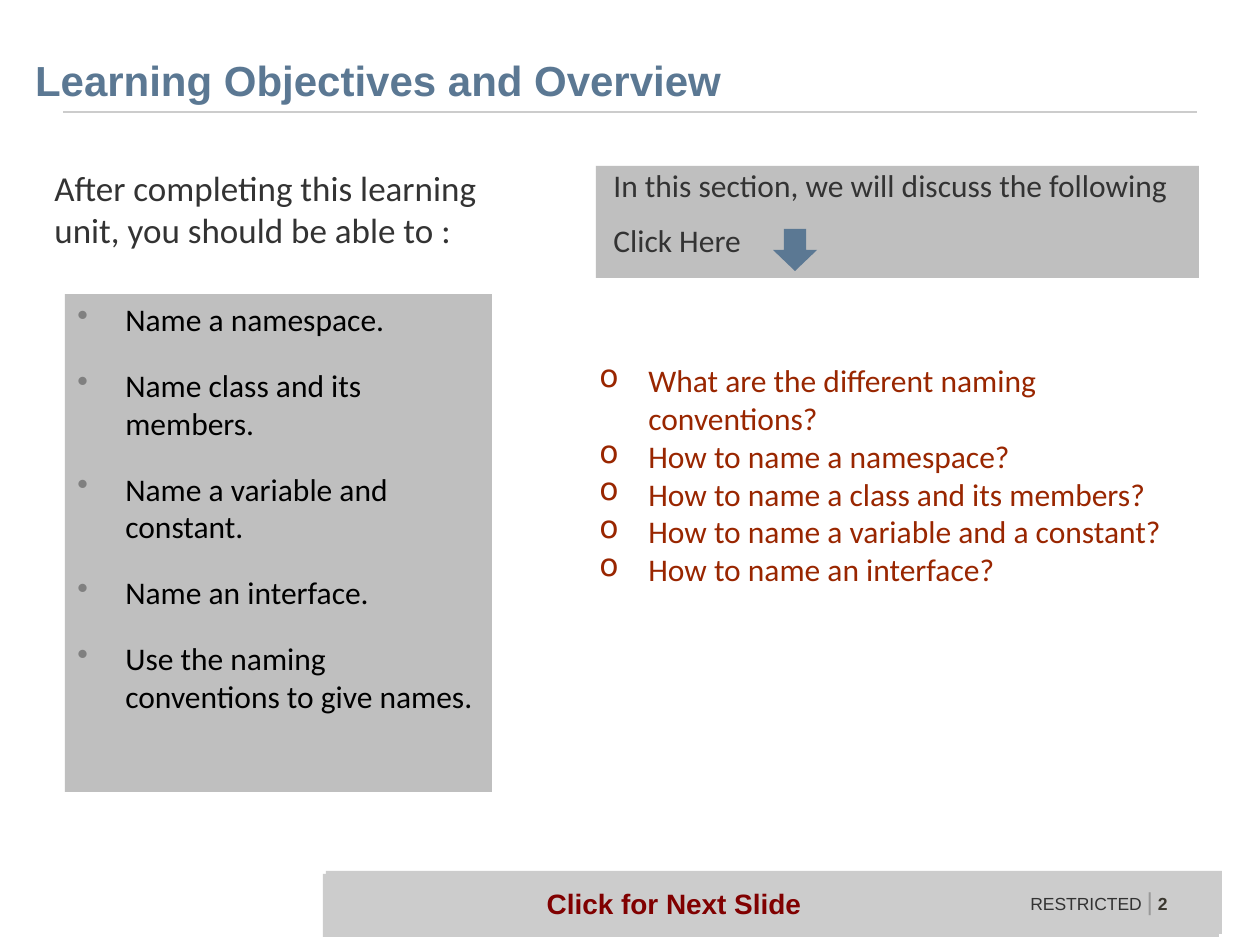
from lxml.etree import SubElement
from pptx import Presentation
from pptx.dml.color import RGBColor
from pptx.enum.shapes import MSO_CONNECTOR, MSO_SHAPE
from pptx.enum.text import MSO_ANCHOR, MSO_AUTO_SIZE, PP_ALIGN
from pptx.oxml.ns import qn
from pptx.util import Pt

PX = 914400 / 126
COLORS = {
    "blue": "5B7893", "rule": "CCCCCC", "panel": "BFBFBF", "text": "333333",
    "black": "000000", "bullet": "808080", "question": "992600",
    "next": "800000", "divider": "999999", "number": "3A372F",
}

TITLE = "Learning Objectives and Overview"
INTRO = ["After completing this learning", "unit, you should be able to :"]
OBJECTIVES = [
    "Name a namespace.",
    "Name class and its members.",
    "Name a variable and constant.",
    "Name an interface.",
    "Use the naming conventions to give names.",
]
SECTION = ["In this section, we will discuss the following", "Click Here"]
QUESTIONS = [
    "What are the different naming conventions?",
    "How to name a namespace?",
    "How to name a class and its members?",
    "How to name a variable and a constant?",
    "How to name an interface?",
]
NEXT = "Click for Next Slide"
FOOTER = [
    ("RESTRICTED ", 10, "text", False),
    ("|", 14, "divider", False),
    (" 2", 10, "number", True),
]


def px(value):
    return round(value * PX)


def color(name):
    return RGBColor.from_string(COLORS[name])


def add_block(slide, kind, box, fill):
    shape = slide.shapes.add_shape(kind, *map(px, box))
    shape.shadow.inherit = False
    shape.fill.solid()
    shape.fill.fore_color.rgb = color(fill)
    shape.line.fill.background()
    return shape


def add_text_box(slide, box, wrap=True):
    frame = slide.shapes.add_textbox(*map(px, box)).text_frame
    frame.word_wrap = wrap
    return frame


def add_run(paragraph, text, size, fill, font="Calibri", bold=False):
    run = paragraph.add_run()
    run.text = text
    run.font.name = font
    run.font.size = Pt(size)
    run.font.bold = bold
    run.font.color.rgb = color(fill)


def add_paragraphs(frame, lines, fill, before=0, after=0):
    for index, line in enumerate(lines):
        paragraph = frame.add_paragraph() if index else frame.paragraphs[0]
        paragraph.alignment = PP_ALIGN.LEFT
        paragraph.space_before = Pt(before)
        paragraph.space_after = Pt(after)
        add_run(paragraph, line, 18, fill)


def add_bullets(frame, character, left, hanging, fill=None):
    for paragraph in frame.paragraphs:
        properties = paragraph._p.get_or_add_pPr()
        properties.set("marL", str(px(left)))
        properties.set("indent", str(-px(hanging)))
        if fill:
            bullet_color = SubElement(properties, qn("a:buClr"))
            SubElement(bullet_color, qn("a:srgbClr"), val=COLORS[fill])
        SubElement(properties, qn("a:buChar"), char=character)


def add_title(slide):
    title = slide.shapes.title
    title.left, title.top, title.width, title.height = map(px, (0, 32, 1152, 79))
    frame = title.text_frame
    frame.auto_size = MSO_AUTO_SIZE.NONE
    frame.vertical_anchor = MSO_ANCHOR.BOTTOM
    frame.margin_left, frame.margin_bottom = px(35), px(6)
    frame.margin_right = frame.margin_top = 0
    paragraph = frame.paragraphs[0]
    paragraph.alignment = PP_ALIGN.LEFT
    add_run(paragraph, TITLE, 24, "blue", "Arial", True)


def add_rule(slide):
    rule = slide.shapes.add_connector(
        MSO_CONNECTOR.STRAIGHT, px(63), px(112), px(1197), px(112))
    rule.line.color.rgb = color("rule")
    rule.line.width = Pt(1.5)
    SubElement(rule._element.spPr, qn("a:effectLst"))


def add_footer(slide):
    for left, top in ((326, 871), (323, 874)):
        add_block(slide, MSO_SHAPE.RECTANGLE, (left, top, 896, 63), "rule")
    paragraph = add_text_box(slide, (1018, 880, 176, 43), False).paragraphs[0]
    for text, size, fill, bold in FOOTER:
        add_run(paragraph, text, size, fill, "Arial", bold)
    paragraph = add_text_box(slide, (472, 880, 404, 47)).paragraphs[0]
    paragraph.alignment = PP_ALIGN.CENTER
    add_run(paragraph, NEXT, 16, "next", "Arial", True)


def add_objectives(slide):
    paragraph = add_text_box(slide, (42, 160, 490, 97)).paragraphs[0]
    for index, line in enumerate(INTRO):
        if index:
            paragraph.add_line_break()
        add_run(paragraph, line, 20, "text")
    panel = add_block(slide, MSO_SHAPE.RECTANGLE, (65, 294, 427, 498), "panel")
    frame = panel.text_frame
    frame.word_wrap = True
    frame.vertical_anchor = MSO_ANCHOR.TOP
    add_paragraphs(frame, OBJECTIVES, "black", 12, 4)
    add_bullets(frame, "•", 48, 48, "bullet")


def add_overview(slide):
    add_block(slide, MSO_SHAPE.RECTANGLE, (596, 166, 603, 112), "panel")
    add_paragraphs(add_text_box(slide, (601, 160, 596, 107)), SECTION, "text", 6, 4)
    add_block(slide, MSO_SHAPE.DOWN_ARROW, (773, 229, 44, 42), "blue")
    frame = add_text_box(slide, (562, 355, 630, 486))
    add_paragraphs(frame, QUESTIONS, "question")
    add_bullets(frame, "o", 74, 49)


def main():
    presentation = Presentation()
    presentation.slide_width, presentation.slide_height = px(1260), px(945)
    slide = presentation.slides.add_slide(presentation.slide_layouts[5])
    add_rule(slide)
    add_footer(slide)
    add_title(slide)
    add_objectives(slide)
    add_overview(slide)
    presentation.save("out.pptx")


if __name__ == "__main__":
    main()
